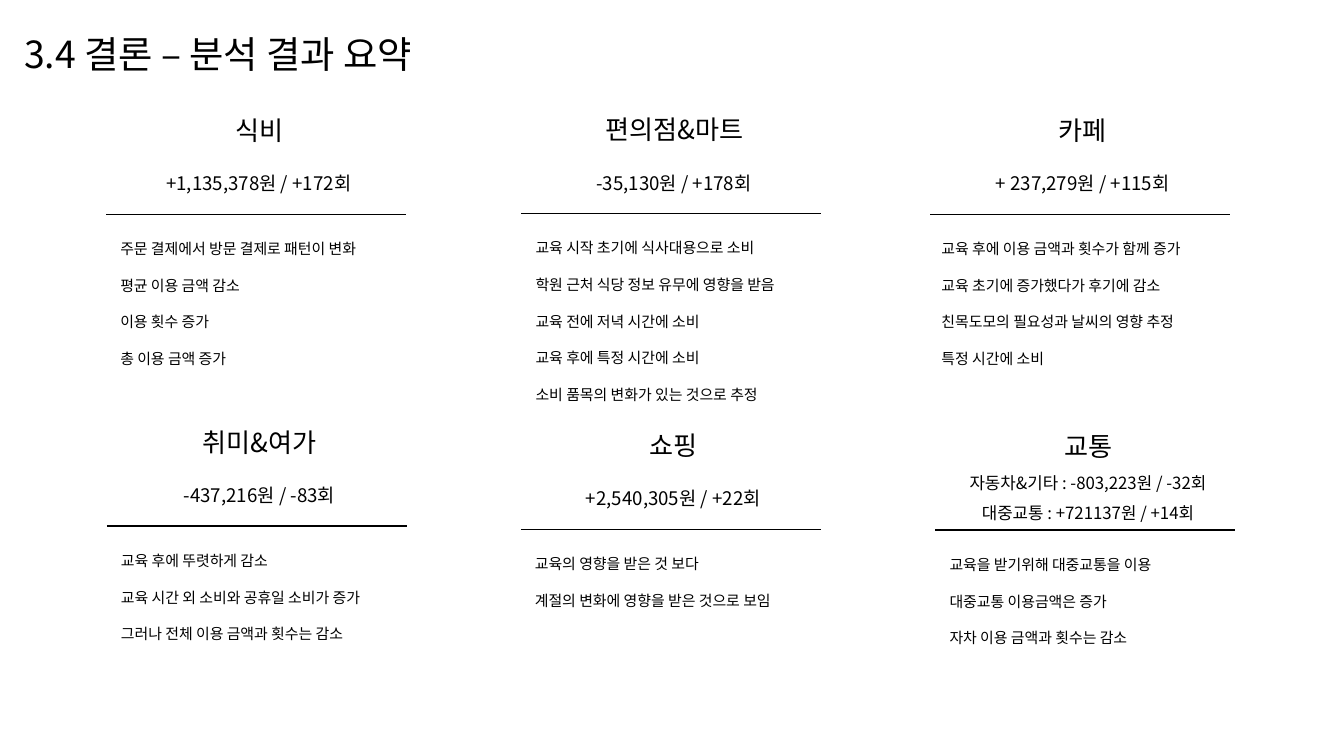
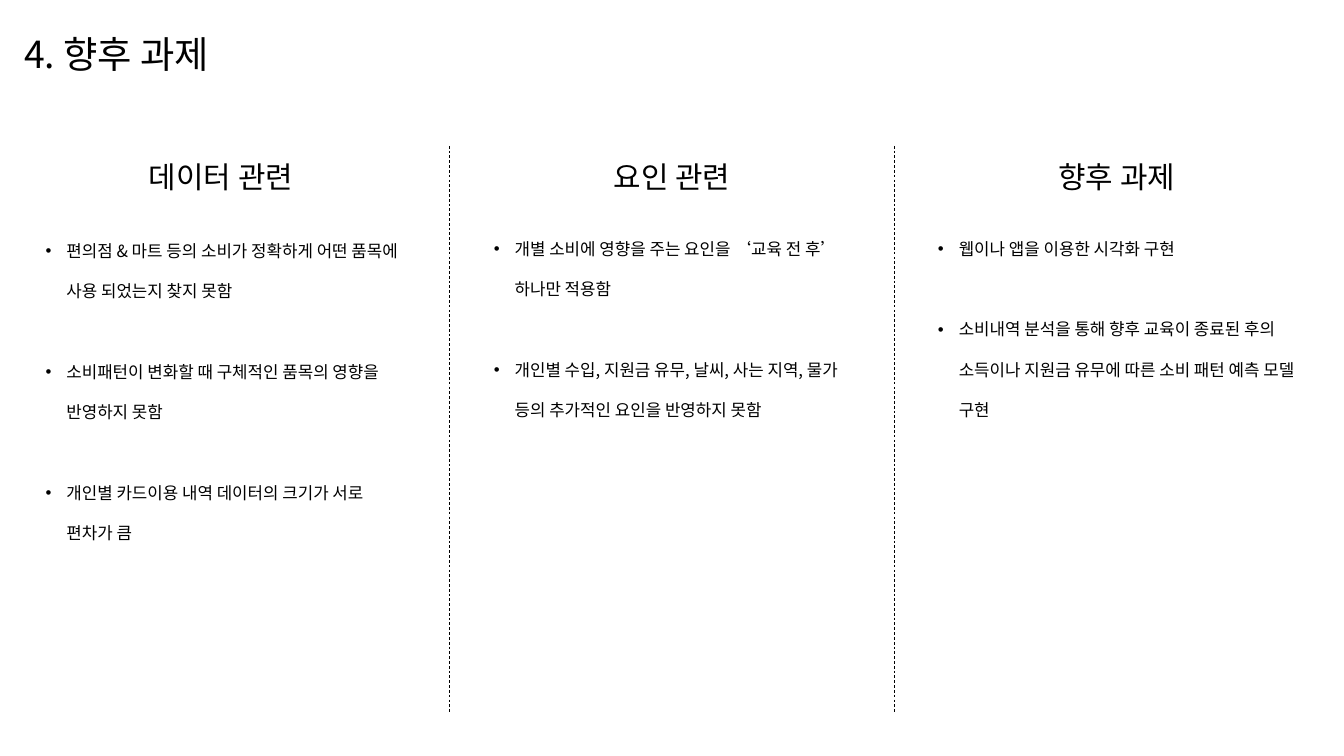
from lxml import etree
from pptx import Presentation
from pptx.dml.color import RGBColor
from pptx.enum.dml import MSO_LINE
from pptx.enum.shapes import MSO_CONNECTOR
from pptx.enum.text import MSO_ANCHOR, MSO_AUTO_SIZE, PP_ALIGN
from pptx.oxml.ns import qn
from pptx.util import Inches, Pt

STRAIGHT = MSO_CONNECTOR.STRAIGHT
DASH = MSO_LINE.DASH
TOP = MSO_ANCHOR.TOP
GROW = MSO_AUTO_SIZE.SHAPE_TO_FIT_TEXT
LEFT, CENTER = PP_ALIGN.LEFT, PP_ALIGN.CENTER

COLORS = {"ink": "000000", "paper": "FFFFFF"}
FONT = "Noto Sans CJK KR"
TITLE_ONLY = 5
CARD_SPACING = Pt(39.2)
BULLET_GAP = Pt(43.2)

CARDS = [
    (1.58, 3.19, "식비", ["+1,135,378원 / +172회"],
     ["주문 결제에서 방문 결제로 패턴이 변화", "평균 이용 금액 감소",
      "이용 횟수 증가", "총 이용 금액 증가"]),
    (7.76, 3.18, "편의점&마트", ["-35,130원 / +178회"],
     ["교육 시작 초기에 식사대용으로 소비", "학원 근처 식당 정보 유무에 영향을 받음",
      "교육 전에 저녁 시간에 소비", "교육 후에 특정 시간에 소비",
      "소비 품목의 변화가 있는 것으로 추정"]),
    (13.84, 3.19, "카페", ["+ 237,279원 / +115회"],
     ["교육 후에 이용 금액과 횟수가 함께 증가", "교육 초기에 증가했다가 후기에 감소",
      "친목도모의 필요성과 날씨의 영향 추정", "특정 시간에 소비"]),
    (1.59, 7.83, "취미&여가", ["-437,216원 / -83회"],
     ["교육 후에 뚜렷하게 감소", "교육 시간 외 소비와 공휴일 소비가 증가",
      "그러나 전체 이용 금액과 횟수는 감소"]),
    (7.75, 7.88, "쇼핑", ["+2,540,305원 / +22회"],
     ["교육의 영향을 받은 것 보다", "계절의 변화에 영향을 받은 것으로 보임"]),
    (13.92, 7.89, "교통",
     ["자동차&기타 : -803,223원 / -32회", "대중교통 : +721137원 / +14회"],
     ["교육을 받기위해 대중교통을 이용", "대중교통 이용금액은 증가",
      "자차 이용 금액과 횟수는 감소"]),
]
WIDE_NOTES = {"카페": (0.17, 4.45)}

TASKS = [
    (0.83, 0.58, 3.23, 4.87, "데이터 관련",
     ["편의점 & 마트 등의 소비가 정확하게 어떤 품목에 사용 되었는지 찾지 못함",
      "소비패턴이 변화할 때 구체적인 품목의 영향을 반영하지 못함",
      "개인별 카드이용 내역 데이터의 크기가 서로 편차가 큼"]),
    (7.54, 7.25, 3.2, 3.05, "요인 관련",
     ["개별 소비에 영향을 주는 요인을 ‘교육 전 후’ 하나만 적용함",
      "개인별 수입, 지원금 유무, 날씨, 사는 지역, 물가 등의 추가적인 요인을 반영하지 못함"]),
    (14.16, 13.86, 3.2, 3.05, "향후 과제",
     ["웹이나 앱을 이용한 시각화 구현",
      "소비내역 분석을 통해 향후 교육이 종료된 후의 소득이나 지원금 유무에 따른 소비 패턴 예측 모델 구현"]),
]


class Deck:
    def __init__(self):
        self.presentation = Presentation()
        self.presentation.slide_width = Inches(20)
        self.presentation.slide_height = Inches(11.25)
        self.slide = None

    def add_slide(self, title):
        layout = self.presentation.slide_layouts[TITLE_ONLY]
        self.slide = self.presentation.slides.add_slide(layout)
        fill = self.slide.background.fill
        fill.solid()
        fill.fore_color.rgb = RGBColor.from_string(COLORS["paper"])
        shape = self.slide.shapes.title
        shape.left, shape.top = Inches(0.36), Inches(-0.03)
        shape.width, shape.height = Inches(15.91), Inches(1.05)
        self.fill_frame(shape.text_frame, [title], 40, LEFT, Pt(84), inset=0)

    def fill_frame(self, frame, texts, size, alignment, spacing, inset=None, bullets=False):
        frame.word_wrap = True
        frame.auto_size = GROW
        frame.vertical_anchor = TOP
        if inset is not None:
            frame.margin_left = frame.margin_right = Inches(inset)
            frame.margin_top = frame.margin_bottom = Inches(inset)
        for index, text in enumerate(texts):
            paragraph = frame.add_paragraph() if index else frame.paragraphs[0]
            if bullets:
                self.add_bullet(paragraph)
                if index:
                    paragraph.space_before = BULLET_GAP
            paragraph.alignment = alignment
            paragraph.line_spacing = spacing
            self.add_run(paragraph, text, size)

    def add_run(self, paragraph, text, size):
        run = paragraph.add_run()
        run.text = text
        run.font.size = Pt(size)
        run.font.color.rgb = RGBColor.from_string(COLORS["ink"])
        run.font.name = FONT
        properties = run._r.get_or_add_rPr()
        etree.SubElement(properties, qn("a:ea")).set("typeface", FONT)

    def add_bullet(self, paragraph):
        properties = paragraph._p.get_or_add_pPr()
        properties.set("marL", str(Inches(0.31)))
        properties.set("indent", str(Inches(-0.31)))
        etree.SubElement(properties, qn("a:buFont")).set("typeface", "Arial")
        etree.SubElement(properties, qn("a:buChar")).set("char", "•")

    def add_text(self, shapes, box, texts, size, alignment=LEFT, spacing=1.0, **options):
        shape = shapes.add_textbox(*(Inches(length) for length in box))
        self.fill_frame(shape.text_frame, texts, size, alignment, spacing, **options)

    def add_line(self, shapes, start, end, width, dash=None):
        connector = shapes.add_connector(
            STRAIGHT, *(Inches(length) for length in (*start, *end)))
        connector.line.color.rgb = RGBColor.from_string(COLORS["ink"])
        connector.line.width = Pt(width)
        if dash is not None:
            connector.line.dash_style = dash
        etree.SubElement(connector._element.spPr, qn("a:effectLst"))

    def add_card(self, left, rule, heading, figures, notes):
        shapes = self.slide.shapes.add_group_shape().shapes
        self.add_line(shapes, (left, rule), (left + 4.46, rule), 1.5)
        self.add_text(shapes, (left + 0.46, rule - 1.57, 3.63, 0.52), [heading],
                      28, CENTER, CARD_SPACING, inset=0)
        if len(figures) == 1:
            rise, height, size, spacing = 0.84, 0.49, 20, CARD_SPACING
        else:
            rise, height, size, spacing = 1.01, 0.87, 18, 1.5
        self.add_text(shapes, (left + 0.25, rule - rise, 4.04, height), figures,
                      size, CENTER, spacing, inset=0)
        indent, width = WIDE_NOTES.get(heading, (0.21, 4.04))
        note_height = 0.55 * len(notes) - 0.08
        self.add_text(shapes, (left + indent, rule + 0.1, width, note_height), notes,
                      16, LEFT, CARD_SPACING, inset=0)

    def add_task(self, heading_left, left, top, height, heading, items):
        shapes = self.slide.shapes
        self.add_text(shapes, (heading_left, 2.31, 4.92, 0.64), [heading], 32, CENTER)
        self.add_text(shapes, (left, top, 5.5, height), items, 18, LEFT, 2.0, bullets=True)


def main():
    deck = Deck()
    deck.add_slide("3.4 결론 – 분석 결과 요약")
    for card in CARDS:
        deck.add_card(*card)

    deck.add_slide("4. 향후 과제")
    for divider in (6.69, 13.31):
        deck.add_line(deck.slide.shapes, (divider, 2.17), (divider, 10.62), 0.75, DASH)
    for task in TASKS:
        deck.add_task(*task)

    deck.presentation.save("out.pptx")


if __name__ == "__main__":
    main()
